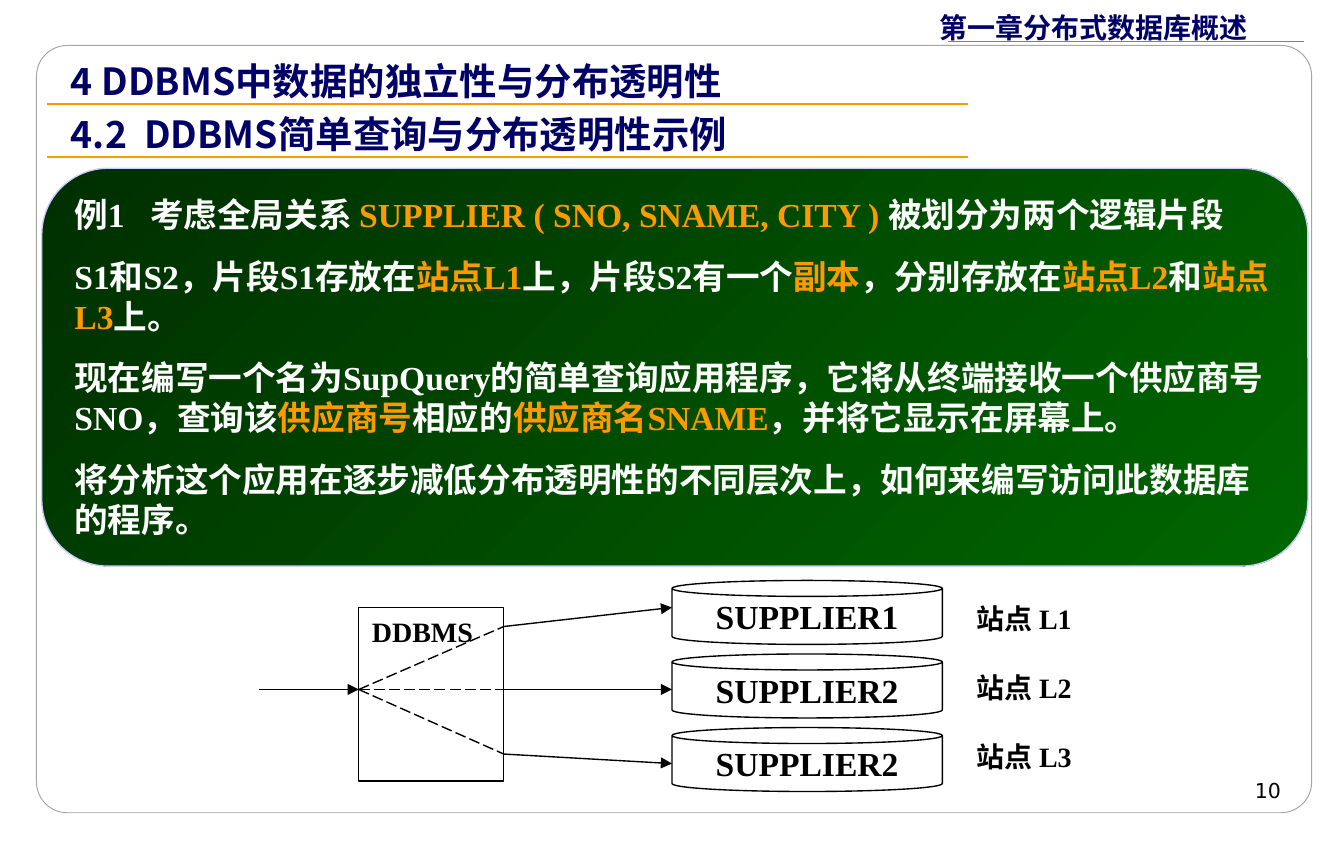
"""Build the slide on distribution transparency of a simple DDBMS query."""
from dataclasses import dataclass

from lxml import etree
from pptx import Presentation, util as u
from pptx.dml.color import RGBColor
from pptx.enum import dml, shapes, text
from pptx.oxml import ns


@dataclass(frozen=True)
class Theme:
    navy: str = "000066"
    orange: str = "FF9900"
    black: str = "000000"
    white: str = "FFFFFF"
    frame: str = "A5A5A5"
    rule: str = "7F7F7F"
    panel_line: str = "CCCCFF"
    panel_dark: str = "002F00"
    panel_light: str = "006600"
    sans: str = "Noto Sans CJK SC"
    serif: str = "Times New Roman"
    number: str = "DejaVu Sans"
    title: int = 20
    body: int = 18
    label: int = 15
    small: int = 11


class Builder:
    def __init__(self, s, theme):
        self.s, self.t = s, theme

    def paragraphs(self, tf, lines, size, color, font, bold=True,
                   align=text.PP_ALIGN.LEFT, before=0):
        for i, line in enumerate(lines):
            p = tf.paragraphs[0] if i == 0 else tf.add_paragraph()
            p.alignment = align
            p.space_before = u.Pt(before)
            for j, part in enumerate(line.split("|")):
                r = p.add_run()
                r.text = part
                r.font.size, r.font.bold, r.font.name = u.Pt(size), bold, font
                r.font.color.rgb = RGBColor.from_string(self.t.orange if j % 2 else color)
                ea = etree.SubElement(r.font._element, ns.qn("a:ea"))
                ea.set("typeface", self.t.sans)

    def label(self, x, y, w, h, content, size, color, font, **style):
        sp = self.s.shapes.add_textbox(u.Cm(x), u.Cm(y), u.Cm(w), u.Cm(h))
        sp.text_frame.word_wrap = True
        self.paragraphs(sp.text_frame, [content], size, color, font, **style)

    def shape(self, kind, x, y, w, h, line, width=0.75, fill=None, adj=None):
        sp = self.s.shapes.add_shape(kind, u.Cm(x), u.Cm(y), u.Cm(w), u.Cm(h))
        sp.shadow.inherit = False
        if adj is not None:
            sp.adjustments[0] = adj
        if fill:
            sp.fill.solid()
            sp.fill.fore_color.rgb = RGBColor.from_string(fill)
        else:
            sp.fill.background()
        sp.line.color.rgb = RGBColor.from_string(line)
        sp.line.width = u.Pt(width)
        return sp

    def panel(self, x, y, w, h, lines):
        t = self.t
        sp = self.shape(shapes.MSO_SHAPE.ROUNDED_RECTANGLE, x, y, w, h, t.panel_line)
        sp.fill.gradient()
        sp.fill.gradient_angle = 315
        for stop, color in zip(sp.fill.gradient_stops, (t.panel_dark, t.panel_light)):
            stop.color.rgb = RGBColor.from_string(color)
        tf = sp.text_frame
        tf.word_wrap = True
        tf.vertical_anchor = text.MSO_ANCHOR.TOP
        self.paragraphs(tf, lines, t.body, t.white, t.serif, before=11.2)

    def cylinder(self, x, y, w, h, name):
        t = self.t
        sp = self.shape(shapes.MSO_SHAPE.CAN, x, y, w, h, t.black)
        sp.text_frame.word_wrap = False
        sp.text_frame.vertical_anchor = text.MSO_ANCHOR.MIDDLE
        self.paragraphs(sp.text_frame, [name], t.body, t.black, t.serif,
                        align=text.PP_ALIGN.CENTER)

    def line(self, x1, y1, x2, y2, color, width=0.75, dash=False, arrow=False):
        c = self.s.shapes.add_connector(shapes.MSO_CONNECTOR.STRAIGHT,
                                        u.Cm(x1), u.Cm(y1), u.Cm(x2), u.Cm(y2))
        c.line.color.rgb = RGBColor.from_string(color)
        c.line.width = u.Pt(width)
        if dash:
            c.line.dash_style = dml.MSO_LINE.LONG_DASH
        sp_pr = c._element.spPr
        if arrow:
            etree.SubElement(sp_pr.get_or_add_ln(), ns.qn("a:tailEnd")).set("type", "triangle")
        etree.SubElement(sp_pr, ns.qn("a:effectLst"))


def main():
    t = Theme()
    prs = Presentation()
    prs.slide_width, prs.slide_height = u.Cm(25.4), u.Cm(15.95)
    b = Builder(prs.slides.add_slide(prs.slide_layouts[6]), t)

    b.shape(shapes.MSO_SHAPE.ROUNDED_RECTANGLE, 0.69, 0.86, 24.1, 14.5,
            t.frame, 0.5, t.white, 0.04)
    b.label(17.5, 0.08, 6.6, 0.86, "第一章分布式数据库概述", t.label, t.navy, t.sans)
    b.line(24.64, 0.79, 17.91, 0.79, t.rule)
    b.label(18.11, 14.58, 6.35, 0.58, "10", t.small, t.black, t.number,
            bold=False, align=text.PP_ALIGN.RIGHT)

    titles = ("4 DDBMS中数据的独立性与分布透明性", "4.2  DDBMS简单查询与分布透明性示例")
    for i, title in enumerate(titles):
        y = 0.97 + i
        b.label(1.09, y, 18.2, 1.12, title, t.title, t.navy, t.sans)
        b.line(0.89, y + 1, 18.29, y + 1, t.orange, 1)

    b.panel(0.79, 3.18, 23.93, 7.52, (
        "例1   考虑全局关系 |SUPPLIER ( SNO, SNAME, CITY ) |被划分为两个逻辑片段",
        "S1和S2，片段S1存放在|站点L1|上，片段S2有一个|副本|，分别存放在|站点L2|和|站点L3|上。",
        "现在编写一个名为SupQuery的简单查询应用程序，它将从终端接收一个供应商号SNO，"
        "查询该|供应商号|相应的|供应商名SNAME|，并将它显示在屏幕上。",
        "将分析这个应用在逐步减低分布透明性的不同层次上，如何来编写访问此数据库的程序。",
    ))

    left, right, store, middle = 6.78, 9.52, 12.7, 13.03
    b.shape(shapes.MSO_SHAPE.RECTANGLE, left, 11.48, right - left, 3.28, t.black)
    b.label(left, 11.48, right - left, 0.86, "DDBMS", t.label, t.black, t.serif)
    b.line(4.9, middle, left, middle, t.black, arrow=True)

    sites = (("SUPPLIER1", 11.84, 11.48), ("SUPPLIER2", middle, middle),
             ("SUPPLIER2", 14.25, 14.43))
    for i, (name, port, target) in enumerate(sites):
        b.cylinder(store, 10.97 + 1.39 * i, 5.11, 1.21, name)
        b.label(18.21, 11.25 + 1.3 * i, 2.77, 0.86, f"站点 L{i + 1}",
                t.label, t.black, t.serif)
        b.line(left, middle, right, port, t.black, dash=True)
        b.line(right, port, store, target, t.black, arrow=True)

    prs.save("out.pptx")


if __name__ == "__main__":
    main()
